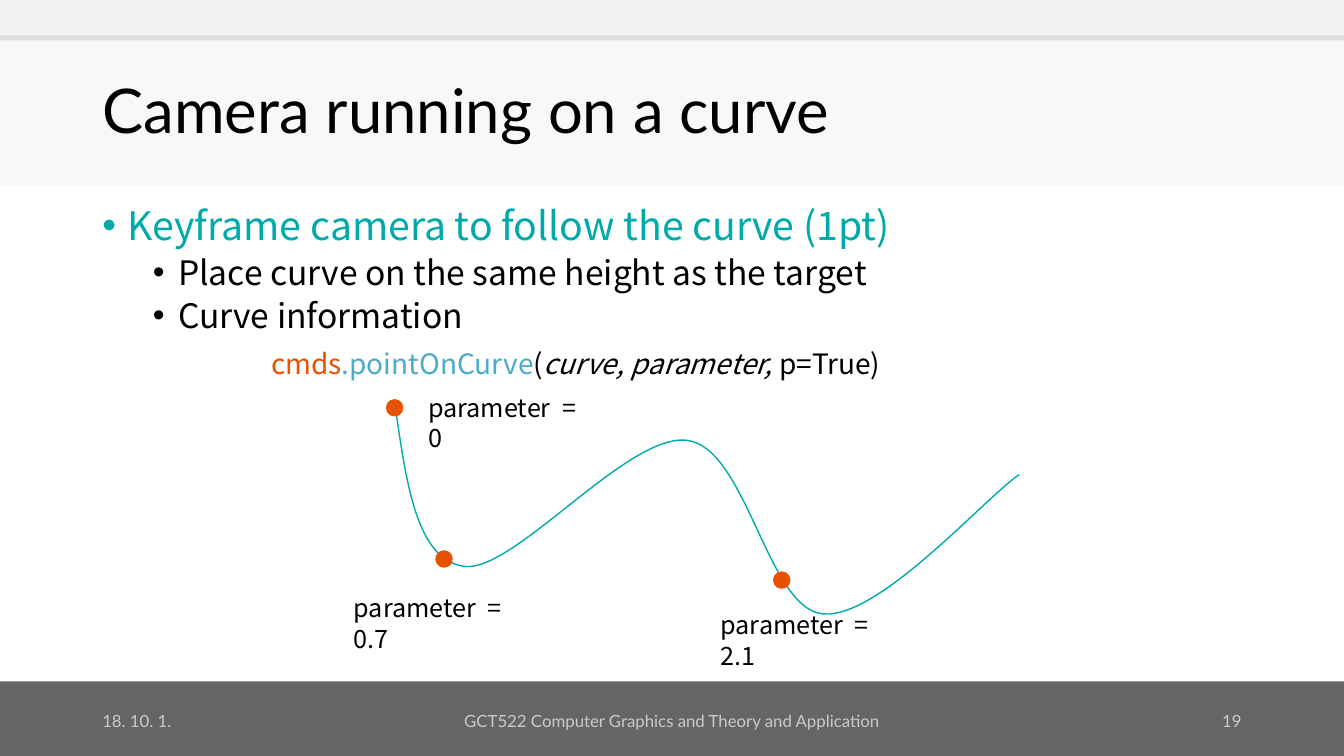
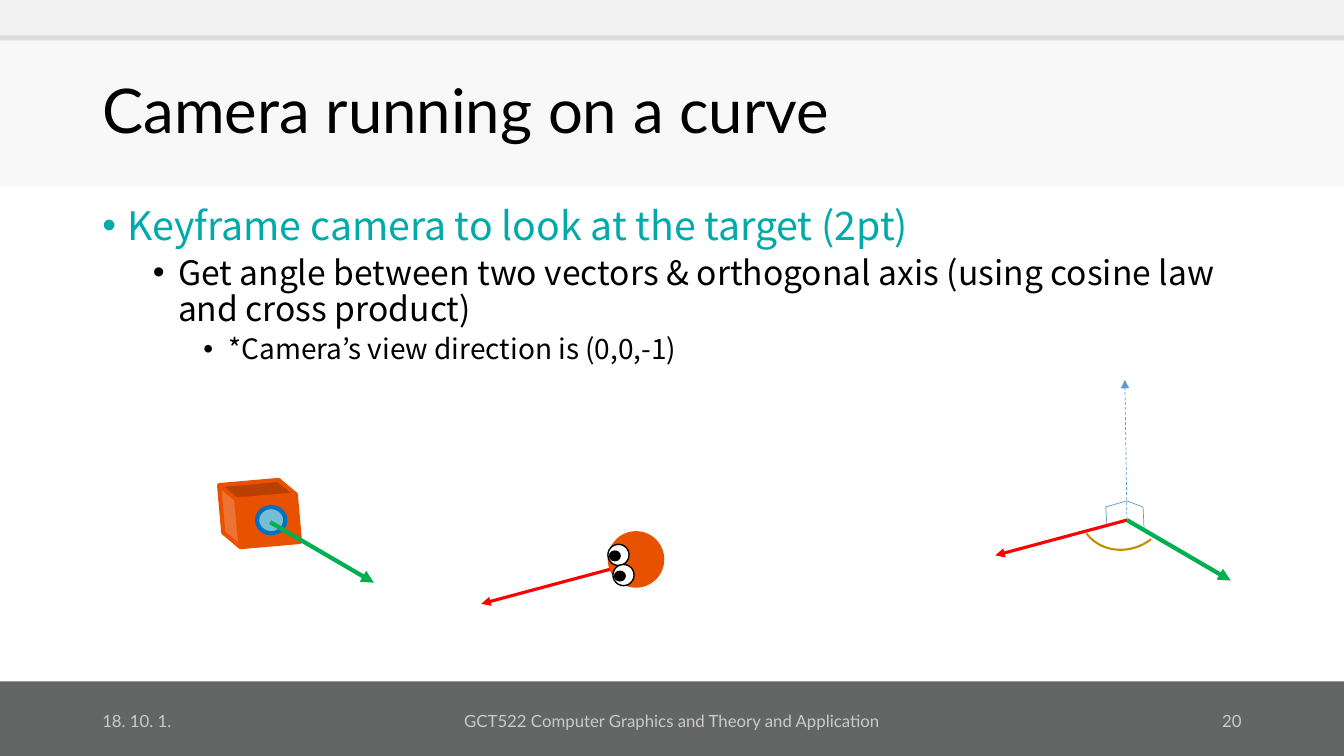
from dataclasses import dataclass
from typing import Optional

from lxml.etree import SubElement
from pptx import Presentation
from pptx.dml.color import RGBColor
from pptx.enum.dml import MSO_LINE_DASH_STYLE as Dash
from pptx.enum.shapes import MSO_CONNECTOR as Connector, MSO_SHAPE as Shape
from pptx.enum.text import MSO_ANCHOR as Anchor, MSO_AUTO_SIZE as AutoSize, PP_ALIGN as Align
from pptx.oxml.ns import qn
from pptx.util import Pt

LATO, NOTO_KR, NOTO_SC = "Lato", "Noto Sans CJK KR", "Noto Sans CJK SC"
BLACK, WHITE = "000000", "FFFFFF"
TEAL, ORANGE, BLUE = "00AAAA", "E85100", "5B9BD5"
RED, GREEN, GOLD, PALE = "FF0000", "00B050", "BF9000", "CACBC9"

WIDTH, HEIGHT = 960, 540
MARGIN, CONTENT_WIDTH = 66, 828
INDENT_STEP, HANGING = 36, 18
BODY_SIZES = (28, 24, 20)

Point = tuple[float, float]


@dataclass(frozen=True)
class Box:
    left: float
    top: float
    width: float
    height: float

    def lengths(self) -> tuple:
        return Pt(self.left), Pt(self.top), Pt(self.width), Pt(self.height)


@dataclass(frozen=True)
class Stroke:
    color: str
    width: float
    dashed: bool = False
    arrow: bool = False


@dataclass(frozen=True)
class Style:
    font: str
    size: float
    color: str = BLACK
    italic: bool = False


@dataclass(frozen=True)
class Bullet:
    text: str
    level: int
    color: str = BLACK


@dataclass(frozen=True)
class Sample:
    """A marked place on the curve and the corner of its label."""
    parameter: str
    dot: Point
    label: Point


BANDS = (
    (Box(0, 486.7, WIDTH, 53.3), "646565"),
    (Box(0, 28.8, WIDTH, 104.4), "F8F8F8"),
    (Box(0, 0, WIDTH, 28.8), "F2F2F2"),
    (Box(0, 25.2, WIDTH, 3.6), "DDDDDD"),
)
TITLE_BOX = Box(MARGIN, 28.8, CONTENT_WIDTH, 104.4)
BODY_BOX = Box(MARGIN, 144, CONTENT_WIDTH, 342.7)

CURVE_START = (282.2, 289.4)
CURVE_SEGMENTS = (
    ((290.2, 344.9), (297.4, 400.3), (331.9, 404.6)),
    ((367.2, 409), (448.6, 308.9), (491, 314.6)),
    ((533.5, 320.4), (547.9, 434.2), (587.5, 438.5)),
    ((627.1, 442.8), (702.7, 356.4), (727.9, 339.1)),
)
SAMPLES = (
    Sample("0", (277.2, 286.6), (298.8, 276.5)),
    Sample("0.7", (312.5, 394.6), (245.5, 419.8)),
    Sample("2.1", (553.7, 409.7), (507.6, 432)),
)
COMMAND = (
    ("cmds", Style(NOTO_SC, 20, ORANGE)),
    (".pointOnCurve", Style(NOTO_SC, 20, "4BACC6")),
    ("(", Style(NOTO_SC, 20)),
    ("curve, parameter,", Style(NOTO_SC, 20, italic=True)),
    (" p=True)", Style(NOTO_SC, 20)),
)

VIEW_VECTOR, GAZE_VECTOR = (74.1, 43.2), (-94, 25.2)
VIEW_STROKE = Stroke(GREEN, 3, arrow=True)
GAZE_STROKE = Stroke(RED, 2.25, arrow=True)
ORIGIN = (805, 371.5)
RIGHT_ANGLE_EDGES = (
    ((790.6, 374.4), (789.8, 362.2)),
    ((789.5, 362.2), (805, 357.8)),
    ((816.5, 362.2), (805, 357.8)),
    ((817.2, 378), (816.5, 362.2)),
)


def rgb(color: str) -> RGBColor:
    return RGBColor.from_string(color)


def apply_stroke(line, stroke: Stroke) -> None:
    line.color.rgb = rgb(stroke.color)
    line.width = Pt(stroke.width)
    if stroke.dashed:
        line.dash_style = Dash.DASH


def style_shape(shape, fill: Optional[str], stroke: Optional[Stroke]) -> None:
    shape.shadow.inherit = False
    if fill:
        shape.fill.solid()
        shape.fill.fore_color.rgb = rgb(fill)
    else:
        shape.fill.background()
    if stroke:
        apply_stroke(shape.line, stroke)
    else:
        shape.line.fill.background()


def add_shape(shapes, kind, box: Box, fill: Optional[str] = None,
              stroke: Optional[Stroke] = None, rotation: float = 0):
    shape = shapes.add_shape(kind, *box.lengths())
    style_shape(shape, fill, stroke)
    shape.rotation = rotation
    return shape


def add_line(shapes, start: Point, end: Point, stroke: Stroke) -> None:
    line = shapes.add_connector(Connector.STRAIGHT, *map(Pt, start + end))
    apply_stroke(line.line, stroke)
    properties = line.element.spPr
    if stroke.arrow:
        SubElement(properties.find(qn("a:ln")), qn("a:tailEnd"), type="triangle")
    SubElement(properties, qn("a:effectLst"))


def add_vector(shapes, start: Point, vector: Point, stroke: Stroke) -> None:
    add_line(shapes, start, (start[0] + vector[0], start[1] + vector[1]), stroke)


def add_run(paragraph, text: str, style: Style) -> None:
    run = paragraph.add_run()
    run.text = text
    run.font.name = style.font
    run.font.size = Pt(style.size)
    run.font.color.rgb = rgb(style.color)
    run.font.italic = style.italic


def add_text(shapes, box: Box, runs, align=Align.LEFT, anchor=Anchor.TOP) -> None:
    frame = shapes.add_textbox(*box.lengths()).text_frame
    frame.word_wrap = True
    frame.vertical_anchor = anchor
    paragraph = frame.paragraphs[0]
    paragraph.alignment = align
    for text, style in runs:
        add_run(paragraph, text, style)


def place(placeholder, box: Box) -> None:
    placeholder.left, placeholder.top, placeholder.width, placeholder.height = box.lengths()


def prepare_layout(layout, first_slide) -> None:
    """Give the layout its bands and the places of title and body."""
    title, body = layout.placeholders[0], layout.placeholders[1]
    for box, color in BANDS:
        band = add_shape(first_slide.shapes, Shape.RECTANGLE, box, color)
        title.element.addprevious(band.element)
    place(title, TITLE_BOX)
    place(body, BODY_BOX)


def add_bullet(paragraph, bullet: Bullet, first: bool) -> None:
    properties = paragraph._p.get_or_add_pPr()
    properties.set("marL", str(Pt(HANGING + INDENT_STEP * bullet.level)))
    properties.set("indent", str(Pt(-HANGING)))
    SubElement(properties, qn("a:buFont"), typeface="Arial")
    SubElement(properties, qn("a:buChar"), char="•")
    paragraph.level = bullet.level
    paragraph.line_spacing = 0.9
    paragraph.space_before = Pt(0 if first else 5)
    add_run(paragraph, bullet.text, Style(NOTO_KR, BODY_SIZES[bullet.level], bullet.color))


def fill_slide(slide, number: int, bullets: list[Bullet]) -> None:
    """Write the title, the bullets and the footer."""
    heading = slide.shapes.title.text_frame
    heading.vertical_anchor = Anchor.MIDDLE
    heading.auto_size = AutoSize.NONE
    title = heading.paragraphs[0]
    title.alignment = Align.LEFT
    title.line_spacing = 0.9
    add_run(title, "Camera running on a curve", Style(LATO, 44))

    body = slide.placeholders[1].text_frame
    body.auto_size = AutoSize.NONE
    for index, bullet in enumerate(bullets):
        paragraph = body.add_paragraph() if index else body.paragraphs[0]
        add_bullet(paragraph, bullet, first=index == 0)

    footer = Style(LATO, 12, PALE)
    for text, left, width, align in (
        ("18. 10. 1.", MARGIN, 216, Align.LEFT),
        ("GCT522 Computer Graphics and Theory and Application", 318, 324, Align.CENTER),
        (str(number), 678, 216, Align.RIGHT),
    ):
        add_text(slide.shapes, Box(left, 500.4, width, 28.8), [(text, footer)],
                 align, Anchor.MIDDLE)


def add_curve(shapes) -> None:
    """Draw the path, turning each three vertices into one Bézier segment."""
    builder = shapes.build_freeform(*map(Pt, CURVE_START))
    builder.add_line_segments(
        [(Pt(x), Pt(y)) for segment in CURVE_SEGMENTS for x, y in segment], close=False)
    curve = builder.convert_to_shape()
    style_shape(curve, None, Stroke(TEAL, 1))
    path = next(curve.element.iter(qn("a:path")))
    vertices = path.findall(qn("a:lnTo"))
    for index in range(0, len(vertices), 3):
        bezier = SubElement(path, qn("a:cubicBezTo"))
        for vertex in vertices[index:index + 3]:
            bezier.append(vertex[0])
            path.remove(vertex)


def draw_curve_samples(shapes) -> None:
    add_text(shapes, Box(186.5, 244.1, 635, 38.9), COMMAND)
    add_curve(shapes)
    for sample in SAMPLES:
        add_shape(shapes, Shape.OVAL, Box(*sample.dot, 9.4, 9.4), ORANGE, Stroke(ORANGE, 3))
    for sample in SAMPLES:
        add_text(shapes, Box(*sample.label, 126, 50),
                 [(f"parameter  = {sample.parameter}", Style(NOTO_KR, 18))])


def draw_axes(shapes) -> None:
    """Draw both vectors from one origin with their angle and orthogonal axis."""
    add_line(shapes, ORIGIN, (803.5, 271.4), Stroke(BLUE, 0.5, dashed=True, arrow=True))
    for start, end in RIGHT_ANGLE_EDGES:
        add_line(shapes, start, end, Stroke(BLUE, 0.5))
    add_vector(shapes, ORIGIN, GAZE_VECTOR, GAZE_STROKE)
    add_vector(shapes, ORIGIN, VIEW_VECTOR, VIEW_STROKE)
    add_shape(shapes, Shape.ARC, Box(769, 329, 68.4, 62.6), None, Stroke(GOLD, 1.5), 142.6)


def draw_target(shapes) -> None:
    add_shape(shapes, Shape.OVAL, Box(435.6, 380.9, 37.4, 37.4), ORANGE, Stroke(ORANGE, 3))
    for left, top in ((434.2, 388.8), (437.8, 403.2)):
        add_shape(shapes, Shape.OVAL, Box(left, top, 15.1, 15.1), WHITE, Stroke(BLACK, 1))
        add_shape(shapes, Shape.OVAL, Box(left + 0.7, top + 4.3, 8.6, 7.9), BLACK)


def draw_view_angle(slide) -> None:
    shapes = slide.shapes
    camera = add_shape(shapes, Shape.CUBE, Box(162.7, 339.8, 45.4, 54), ORANGE,
                       Stroke(ORANGE, 3), 265)
    shapes.title.element.addprevious(camera.element)
    draw_axes(shapes.add_group_shape().shapes)
    add_vector(shapes, (437.8, 406.1), GAZE_VECTOR, GAZE_STROKE)
    draw_target(shapes.add_group_shape().shapes)
    add_shape(shapes, Shape.OVAL, Box(183.6, 362.2, 20.2, 18.7), "74BFD3", Stroke("0070C0", 3))
    add_vector(shapes, (193, 373), VIEW_VECTOR, VIEW_STROKE)


def main() -> None:
    deck = Presentation()
    deck.slide_width, deck.slide_height = Pt(WIDTH), Pt(HEIGHT)
    layout = deck.slide_layouts[1]
    follow, look = (deck.slides.add_slide(layout) for _ in range(2))
    prepare_layout(layout, follow)

    fill_slide(follow, 19, [
        Bullet("Keyframe camera to follow the curve (1pt)", 0, TEAL),
        Bullet("Place curve on the same height as the target", 1),
        Bullet("Curve information", 1),
    ])
    draw_curve_samples(follow.shapes)

    fill_slide(look, 20, [
        Bullet("Keyframe camera to look at the target (2pt)", 0, TEAL),
        Bullet("Get angle between two vectors & orthogonal axis "
               "(using cosine law and cross product)", 1),
        Bullet("*Camera’s view direction is (0,0,-1)", 2),
    ])
    draw_view_angle(look)
    deck.save("out.pptx")


if __name__ == "__main__":
    main()
